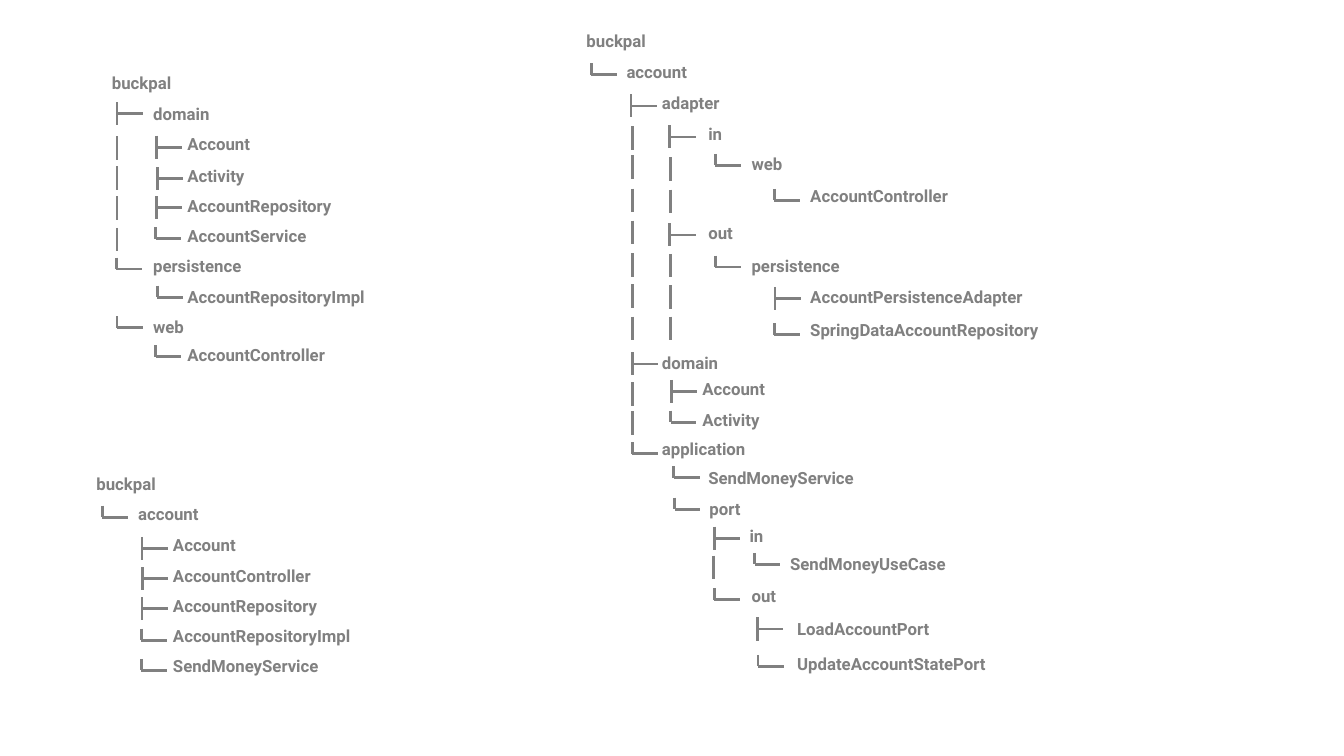
from dataclasses import dataclass

from pptx import Presentation
from pptx.dml.color import RGBColor
from pptx.enum.shapes import MSO_CONNECTOR
from pptx.enum.text import MSO_AUTO_SIZE
from pptx.oxml.xmlchemy import OxmlElement
from pptx.shapes.shapetree import GroupShapes, SlideShapes
from pptx.util import Cm, Pt

STRAIGHT = MSO_CONNECTOR.STRAIGHT
FIT = MSO_AUTO_SIZE.SHAPE_TO_FIT_TEXT
GREY = "808080"
FONT = "Roboto"

# Lengths in centimetres
ARM = 0.65
HALF = 0.29
BAR = 0.59
HIGH = 0.77


@dataclass
class Node:
    """A name at (left, top), with a branch mark cornered at (x, y)."""
    name: str
    left: float
    top: float
    mark: str = ""
    x: float = 0
    y: float = 0
    width: float = 5.13


@dataclass
class Trunk:
    """A column of upright bars."""
    x: float
    tops: tuple[float, ...]


# Packages by layer
LAYERS = [
    Node("buckpal", 2.57, 1.7),
    Node("domain", 3.61, 2.49, "├", 2.95, 2.87),
    Node("Account", 4.47, 3.25, "├", 3.94, 3.71),
    Node("Activity", 4.47, 4.04, "├", 3.96, 4.5),
    Node("AccountRepository", 4.47, 4.8, "├", 3.94, 5.23),
    Node("AccountService", 4.47, 5.56, "└", 3.92, 6.02),
    Node("persistence", 3.61, 6.32, "└", 2.93, 6.78),
    Node("AccountRepositoryImpl", 4.47, 7.09, "└", 3.96, 7.49, 5.61),
    Node("web", 3.61, 7.85, "└", 2.95, 8.26),
    Node("AccountController", 4.47, 8.56, "└", 3.92, 8.99, 5.61),
]

# Packages by feature
FEATURE = [
    Node("buckpal", 2.18, 11.81),
    Node("account", 3.23, 12.57, "└", 2.58, 13.03),
    Node("Account", 4.11, 13.36, "├", 3.58, 13.82),
    Node("AccountController", 4.11, 14.12, "├", 3.59, 14.58),
    Node("AccountRepository", 4.11, 14.88, "├", 3.58, 15.34),
    Node("AccountRepositoryImpl", 4.11, 15.65, "└", 3.56, 16.13, 6.07),
    Node("SendMoneyService", 4.11, 16.41, "└", 3.56, 16.89, 6.07),
]

# Packages by ports and adapters
PORTS = [
    Node("buckpal", 14.53, 0.66),
    Node("account", 15.54, 1.42, "└", 14.9, 1.88),
    Node("adapter", 16.43, 2.21, "├", 15.9, 2.67),
    Node("in", 17.6, 3, "├", 16.88, 3.45),
    Node("web", 18.69, 3.76, "└", 18.03, 4.17),
    Node("AccountController", 20.17, 4.55, "└", 19.51, 5.05),
    Node("out", 17.6, 5.49, "├", 16.88, 5.92),
    Node("persistence", 18.69, 6.32, "└", 18.03, 6.73),
    Node("AccountPersistenceAdapter", 20.17, 7.11, "├", 19.53, 7.52, 8),
    Node("SpringDataAccountRepository", 20.17, 7.92, "└", 19.51, 8.43, 8),
    Node("domain", 16.43, 8.76, "├", 15.93, 9.17),
    Node("Account", 17.45, 9.42, "├", 16.92, 9.86),
    Node("Activity", 17.45, 10.19, "└", 16.9, 10.64),
    Node("application", 16.43, 10.92, "└", 15.93, 11.43),
    Node("SendMoneyService", 17.6, 11.66, "└", 16.98, 12.04),
    Node("port", 17.63, 12.45, "└", 17, 12.83),
    Node("in", 18.64, 13.13, "├", 18, 13.56),
    Node("SendMoneyUseCase", 19.66, 13.82, "└", 19.02, 14.22),
    Node("out", 18.69, 14.63, "└", 18, 15.11),
    Node("LoadAccountPort", 19.84, 15.47, "├", 19.09, 15.85),
    Node("UpdateAccountStatePort", 19.84, 16.36, "└", 19.1, 16.79, 6.07),
]

TRUNKS = [
    Trunk(2.95, (3.43, 4.19, 4.95, 5.74)),
    Trunk(15.93, (3.18, 3.91, 4.75, 5.56, 6.38, 7.16, 7.98, 9.63, 10.36)),
    Trunk(16.89, (3.96, 4.78, 6.4, 7.19, 7.98)),
    Trunk(17.98, (14,)),
]


def paint(code: str) -> RGBColor:
    return RGBColor.from_string(code)


def draw_line(shapes: SlideShapes | GroupShapes, x1: float, y1: float,
              x2: float, y2: float) -> None:
    line = shapes.add_connector(STRAIGHT, Cm(x1), Cm(y1), Cm(x2), Cm(y2))
    line.line.color.rgb = paint(GREY)
    line.line.width = Pt(2)
    line._element.spPr.append(OxmlElement("a:effectLst"))


def draw_name(shapes: SlideShapes, node: Node) -> None:
    box = shapes.add_textbox(Cm(node.left), Cm(node.top),
                             Cm(node.width), Cm(HIGH))
    frame = box.text_frame
    frame.word_wrap = True
    frame.auto_size = FIT
    para = frame.paragraphs[0]
    para.text = node.name
    para.font.name = FONT
    para.font.size = Pt(12)
    para.font.bold = True
    para.font.color.rgb = paint(GREY)


def draw_mark(shapes: SlideShapes, node: Node) -> None:
    parts = shapes.add_group_shape().shapes
    foot = node.y + HALF if node.mark == "├" else node.y
    draw_line(parts, node.x, node.y, node.x + ARM, node.y)
    draw_line(parts, node.x, node.y - HALF, node.x, foot)


def main() -> None:
    deck = Presentation()
    deck.slide_width, deck.slide_height = Cm(33.87), Cm(19.05)
    shapes = deck.slides.add_slide(deck.slide_layouts[6]).shapes

    # Names and branches
    for node in LAYERS + FEATURE + PORTS:
        draw_name(shapes, node)
        if node.mark:
            draw_mark(shapes, node)

    # Trunk bars
    for trunk in TRUNKS:
        for top in trunk.tops:
            draw_line(shapes, trunk.x, top, trunk.x, top + BAR)

    deck.save("out.pptx")


if __name__ == "__main__":
    main()
